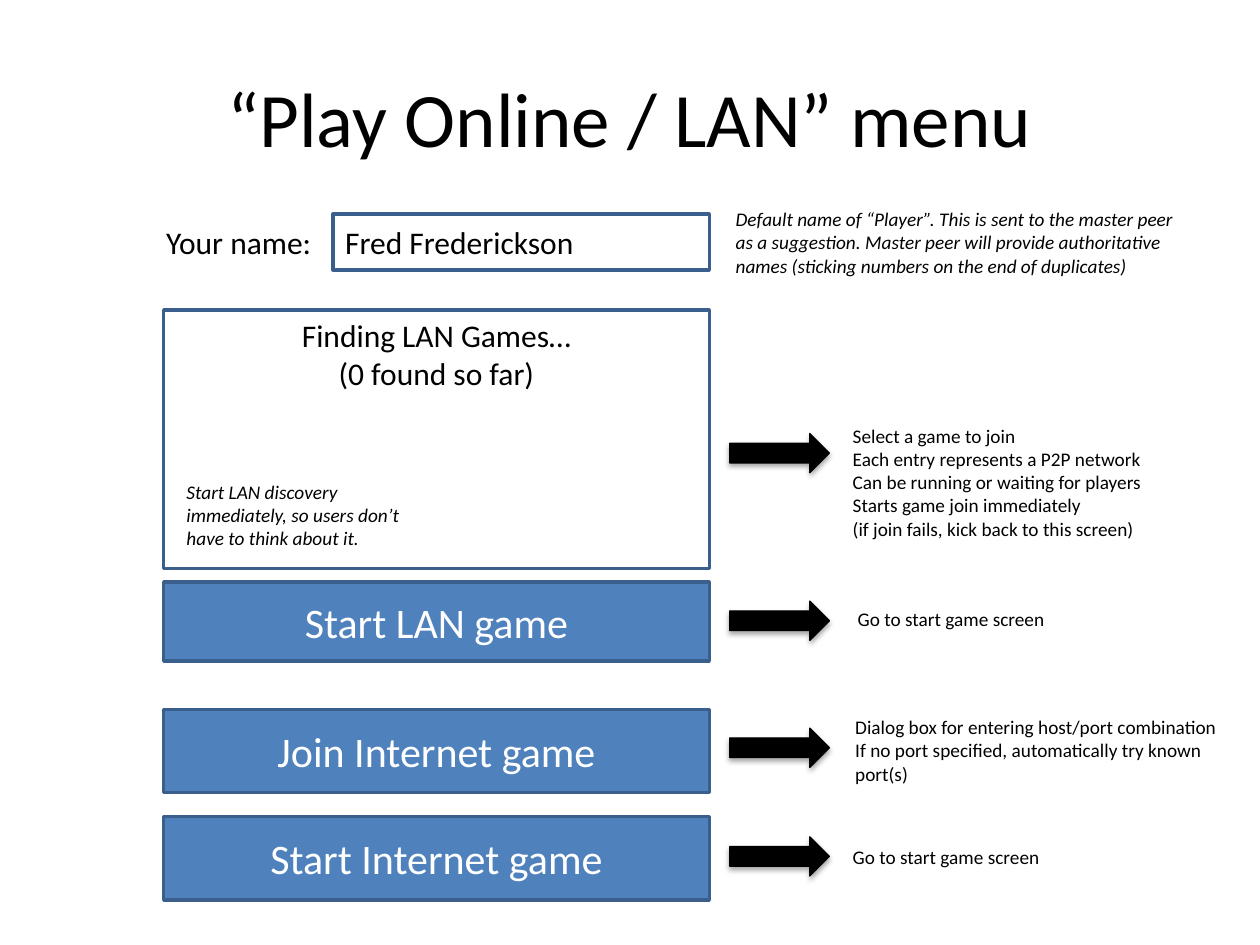
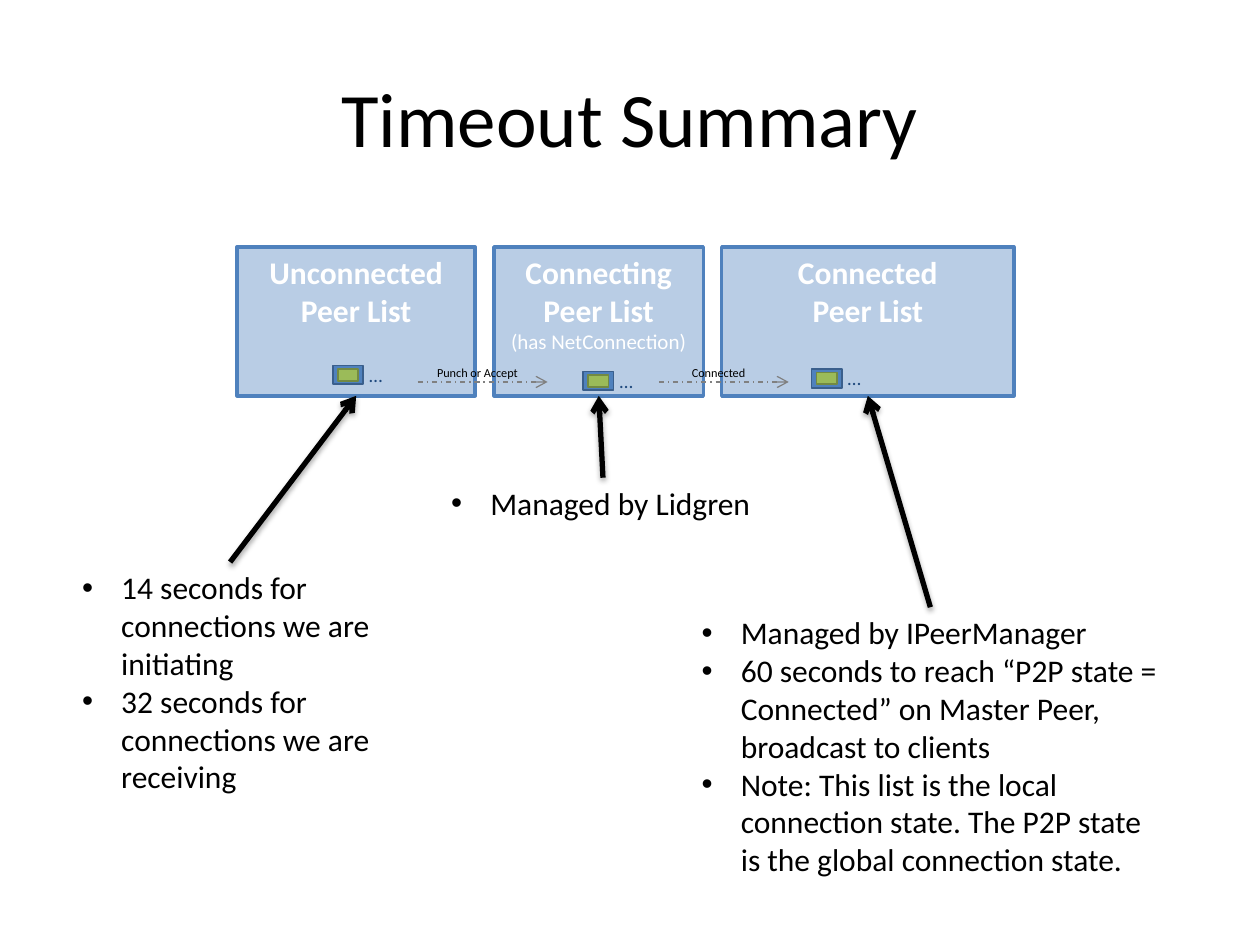
from lxml import etree
from pptx import Presentation
from pptx.dml.color import RGBColor
from pptx.enum.dml import MSO_LINE
from pptx.enum.shapes import MSO_CONNECTOR, MSO_SHAPE
from pptx.enum.text import MSO_ANCHOR, MSO_AUTO_SIZE, PP_ALIGN
from pptx.oxml.ns import qn
from pptx.util import Cm, Pt

RECT, RIGHT_ARROW = MSO_SHAPE.RECTANGLE, MSO_SHAPE.RIGHT_ARROW
STRAIGHT, DASH_DOT = MSO_CONNECTOR.STRAIGHT, MSO_LINE.DASH_DOT
LEFT, CENTER = PP_ALIGN.LEFT, PP_ALIGN.CENTER
TOP, MIDDLE = MSO_ANCHOR.TOP, MSO_ANCHOR.MIDDLE
FIXED = MSO_AUTO_SIZE.NONE
TITLE_ONLY, COMPARISON = 5, 4
TOP_SIDE, BOTTOM_SIDE = 0, 2

FONT = "Calibri"
COLORS = {
    "text": "000000", "white": "FFFFFF", "blue": "4F81BD", "edge": "3A5F8C",
    "pale": "B9CDE5", "green": "9BBB59", "moss": "738A42",
    "navy": "1F497D", "gray": "808080",
}


def rgb(name):
    return RGBColor.from_string(COLORS[name])


def write(frame, text, size=18, color="text", bold=False, italic=False,
          align=LEFT, bullet=False):
    """Add one paragraph per line of text; \\v breaks a line within one."""
    for line in text.split("\n"):
        first = frame.paragraphs[0]
        paragraph = frame.add_paragraph() if first.runs else first
        paragraph.text = line
        paragraph.alignment = align
        for run in paragraph.runs:
            font = run.font
            font.name, font.size, font.color.rgb = FONT, Pt(size), rgb(color)
            font.bold, font.italic = bold, italic
        if bullet:
            paragraph.space_before = Pt(0)
            props = paragraph._p.get_or_add_pPr()
            props.set("marL", str(Cm(0.79)))
            props.set("indent", str(-Cm(0.79)))
            etree.SubElement(props, qn("a:buFont"), typeface="Arial")
            etree.SubElement(props, qn("a:buChar"), char="•")


def add_shadow(effects):
    shadow = etree.SubElement(effects, qn("a:outerShdw"), blurRad=str(Pt(3.1)),
                              dist=str(Pt(1.8)), dir="5400000", rotWithShape="0")
    tint = etree.SubElement(shadow, qn("a:srgbClr"), val=COLORS["text"])
    etree.SubElement(tint, qn("a:alpha"), val="35000")


def place(shape, left, top, width, height):
    shape.left, shape.top = Cm(left), Cm(top)
    shape.width, shape.height = Cm(width), Cm(height)


class Deck:
    def __init__(self):
        self.prs = Presentation()
        self.prs.slide_width, self.prs.slide_height = Cm(25.4), Cm(19.05)
        self.slide = None

    def new_slide(self, title, layout):
        self.slide = self.prs.slides.add_slide(self.prs.slide_layouts[layout])
        heading = self.slide.shapes.title
        place(heading, 1.27, 0.76, 22.86, 3.18)
        heading.text_frame.vertical_anchor = MIDDLE
        write(heading.text_frame, title, size=44, align=CENTER)

    def box(self, left, top, width, height, fill, line, weight=2, kind=RECT,
            anchor=MIDDLE, shadow=False):
        shape = self.slide.shapes.add_shape(
            kind, Cm(left), Cm(top), Cm(width), Cm(height))
        shape.shadow.inherit = False
        shape.fill.solid()
        shape.fill.fore_color.rgb = rgb(fill)
        shape.line.color.rgb, shape.line.width = rgb(line), Pt(weight)
        shape.text_frame.vertical_anchor = anchor
        if shadow:
            add_shadow(shape._element.spPr.find(qn("a:effectLst")))
        return shape

    def label(self, left, top, width, height, text, wrap=True, **style):
        frame = self.slide.shapes.add_textbox(
            Cm(left), Cm(top), Cm(width), Cm(height)).text_frame
        frame.word_wrap = wrap
        write(frame, text, **style)

    def bullets(self, index, left, top, width, height, text):
        body = self.slide.placeholders[index]
        place(body, left, top, width, height)
        frame = body.text_frame
        frame.word_wrap, frame.auto_size = True, FIXED
        frame.vertical_anchor = TOP
        write(frame, text, bullet=True)
        return body

    def arrow(self, start=(0, 0), end=(0, 0), source=None, target=None,
              color="text", weight=3, dash=None, shadow=False):
        line = self.slide.shapes.add_connector(
            STRAIGHT, *(Cm(value) for value in (*start, *end)))
        if source:
            line.begin_connect(source, TOP_SIDE)
        if target:
            line.end_connect(target, BOTTOM_SIDE)
        line.line.color.rgb, line.line.width = rgb(color), Pt(weight)
        if dash:
            line.line.dash_style = dash
        etree.SubElement(line.line._get_or_add_ln(), qn("a:tailEnd"), type="arrow")
        effects = etree.SubElement(line._element.spPr, qn("a:effectLst"))
        if shadow:
            add_shadow(effects)

    def peer(self, left, top):
        self.box(left, top, 0.61, 0.38, "blue", "edge", weight=1)
        self.box(left + 0.1, top + 0.07, 0.41, 0.24, "green", "moss", weight=1)
        self.label(left + 0.48, top - 0.18, 0.79, 0.74, "…", wrap=False,
                   size=11, color="navy")


def build_menu(deck):
    deck.new_slide("“Play Online / LAN” menu", TITLE_ONLY)
    menu_left, menu_width = 3.3, 11

    # List of games found on the LAN
    games = deck.box(menu_left, 6.25, menu_width, 5.21, "white", "edge", anchor=TOP)
    write(games.text_frame, "Finding LAN Games…\n(0 found so far)", align=CENTER)
    deck.label(3.51, 9.55, 5.08, 1.68,
               "Start LAN discovery immediately, so users don’t have to think about it.",
               size=11, italic=True)

    # Menu buttons
    for top, height, caption in [(11.73, 1.6, "Start LAN game"),
                                 (14.3, 1.68, "Join Internet game"),
                                 (16.46, 1.68, "Start Internet game")]:
        button = deck.box(menu_left, top, menu_width, height, "blue", "edge")
        write(button.text_frame, caption, size=24, color="white", align=CENTER)

    # What each entry leads to
    start_screen = "Go to start game screen"
    outcomes = [
        (8.74, (16.94, 8.43, 6.86, 2.62),
         "Select a game to join\nEach entry represents a P2P network\n"
         "Can be running or waiting for players\nStarts game join immediately\n"
         "(if join fails, kick back to this screen)"),
        (12.12, (17.04, 12.12, 6.86, 0.74), start_screen),
        (14.68, (16.99, 14.3, 8.13, 1.68),
         "Dialog box for entering host/port combination\n"
         "If no port specified, automatically try known port(s)"),
        (16.87, (16.94, 16.92, 8.13, 0.74), start_screen),
    ]
    for arrow_top, area, outcome in outcomes:
        deck.box(14.71, arrow_top, 2.01, 0.79, "text", "text", weight=0.75,
                 kind=RIGHT_ARROW, shadow=True)
        deck.label(*area, outcome, size=11)

    # Player name
    deck.label(3.1, 4.37, 3.81, 1.02, "Your name:")
    name_field = deck.box(6.71, 4.32, 7.59, 1.12, "white", "edge")
    write(name_field.text_frame, "Fred Frederickson")
    deck.label(14.58, 4.06, 9.4, 1.68,
               "Default name of “Player”. This is sent to the master peer as a "
               "suggestion. Master peer will provide authoritative names "
               "(sticking numbers on the end of duplicates)",
               size=11, italic=True)


def build_timeouts(deck):
    deck.new_slide("Timeout Summary", COMPARISON)

    # Peer lists
    peer_lists = []
    for left, width, name in [(4.78, 4.8, "Unconnected Peer List"),
                              (9.96, 4.22, "Connecting Peer List"),
                              (14.55, 5.89, "Connected\vPeer List")]:
        peer_list = deck.box(left, 4.98, width, 3, "pale", "blue", anchor=TOP)
        write(peer_list.text_frame, name, color="white", bold=True, align=CENTER)
        peer_lists.append(peer_list)
    write(peer_lists[1].text_frame, "(has NetConnection)", size=12,
          color="white", align=CENTER)
    for left, top in [(6.71, 7.37), (11.76, 7.49), (16.36, 7.44)]:
        deck.peer(left, top)

    # Moves from list to list
    for left, event in [(7.87, "Punch or Accept"), (12.73, "Connected")]:
        deck.arrow((left + 0.55, 7.7), (left + 3.17, 7.7), color="gray",
                   weight=0.75, dash=DASH_DOT)
        deck.label(left, 7.24, 3.51, 0.56, event, size=7, align=CENTER)

    # Timeout rules, each pointing at its list
    rules = [
        ((1.4, 11.33, 6.48, 4.88),
         "14 seconds for connections we are initiating\n"
         "32 seconds for connections we are receiving"),
        ((8.84, 9.63, 6.63, 1.02), "Managed by Lidgren"),
        ((13.89, 12.24, 9.73, 5.64),
         "Managed by IPeerManager\n"
         "60 seconds to reach “P2P state = Connected” on Master Peer, "
         "broadcast to clients\n"
         "Note: This list is the local connection state. The P2P state is "
         "the global connection state."),
    ]
    for index, (area, text) in enumerate(rules, start=1):
        rule = deck.bullets(index, *area, text)
        deck.arrow(source=rule, target=peer_lists[index - 1], shadow=True)
    spare = deck.slide.placeholders[4]._element
    spare.getparent().remove(spare)


def main():
    deck = Deck()
    build_menu(deck)
    build_timeouts(deck)
    deck.prs.save("out.pptx")


if __name__ == "__main__":
    main()
